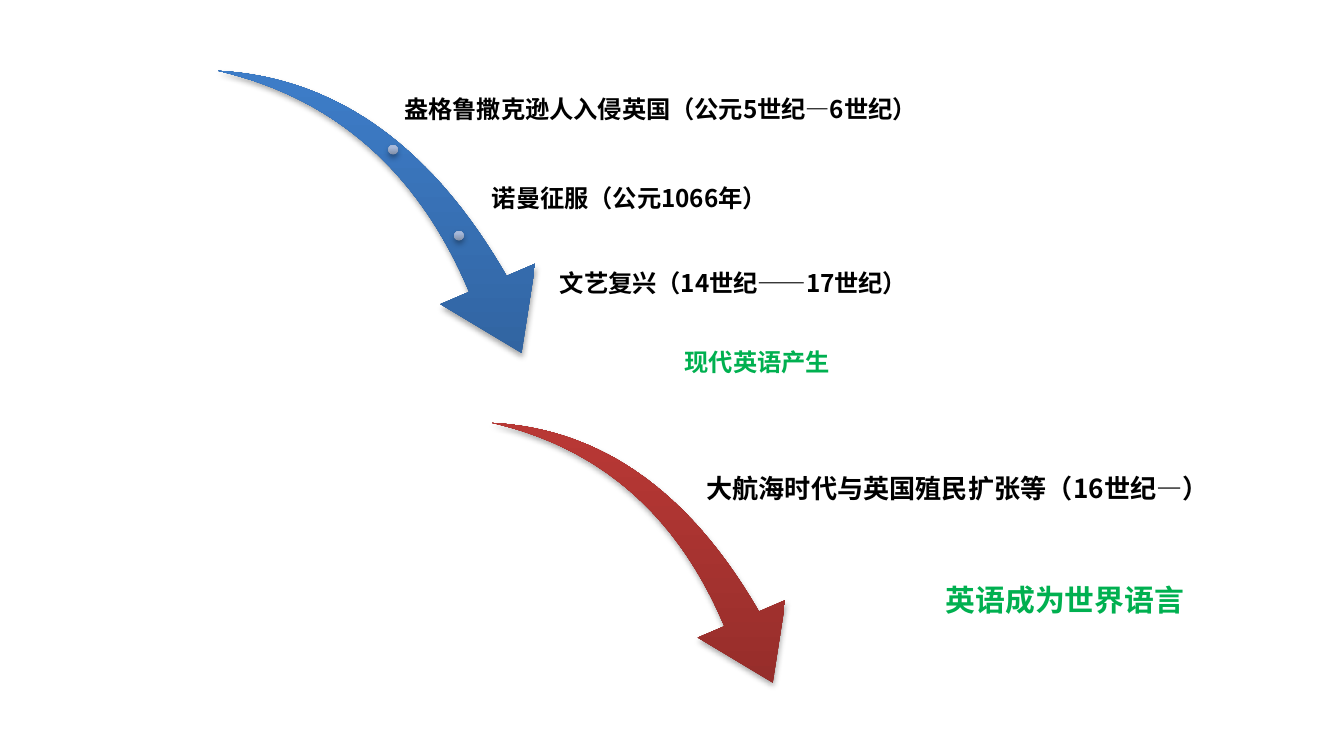
from lxml import etree
from pptx import Presentation
from pptx import util as u
from pptx.dml.color import RGBColor
from pptx.enum import shapes, text
from pptx.oxml import parse_xml
from pptx.oxml.ns import qn

COLORS = {
    "event": "000000",
    "outcome": "00B050",
    "shadow": "000000",
}
GRADIENTS = {
    "blue": ("2F5F99", "3D7CC7", "3A7CCB"),
    "red": ("8E2B28", "B83835", "BB3632"),
    "dot": ("818FA8", "A7B9DA", "A7BADC"),
}
STOPS = (0, 80, 100)
FONT = "Noto Sans CJK SC"
NAMESPACE = 'xmlns:a="http://schemas.openxmlformats.org/drawingml/2006/main"'
ALIGN = text.PP_ALIGN
ANCHOR = text.MSO_ANCHOR


def write_text(frame, words, size=13, color="event", align=ALIGN.CENTER):
    """Put one bold line of text into a text frame."""
    paragraph = frame.paragraphs[0]
    paragraph.alignment = align
    paragraph.line_spacing = 0.9
    paragraph.space_after = u.Pt(0.35 * size)
    run = paragraph.add_run()
    run.text = words
    run.font.size = u.Pt(size)
    run.font.bold = True
    run.font.name = FONT
    run.font.color.rgb = RGBColor.from_string(COLORS[color])
    east_asian = etree.SubElement(run.font._element, qn("a:ea"))
    east_asian.set("typeface", FONT)


class Timeline:
    """Holds the style and the current slide."""

    def __init__(self, slide):
        self.slide = slide

    def add_glossy(self, kind, box, gradient):
        """Add a preset shape with an upward gradient and a soft shadow."""
        shape = self.slide.shapes.add_shape(kind, *map(u.Inches, box))
        shape.line.fill.background()
        stops = "".join(
            f'<a:gs pos="{stop * 1000}"><a:srgbClr val="{color}"/></a:gs>'
            for stop, color in zip(STOPS, GRADIENTS[gradient])
        )
        fill = parse_xml(
            f'<a:gradFill {NAMESPACE} rotWithShape="0"><a:gsLst>{stops}</a:gsLst>'
            '<a:lin ang="16200000" scaled="0"/></a:gradFill>'
        )
        effects = parse_xml(
            f'<a:effectLst {NAMESPACE}><a:outerShdw blurRad="{u.Pt(3.1)}" '
            f'dist="{u.Pt(1.8)}" dir="5400000" rotWithShape="0">'
            f'<a:srgbClr val="{COLORS["shadow"]}"><a:alpha val="35000"/></a:srgbClr>'
            "</a:outerShdw></a:effectLst>"
        )
        properties = shape._element.spPr
        properties.find(qn("a:prstGeom")).addnext(fill)
        properties.find(qn("a:ln")).addnext(effects)
        return shape

    def add_arrow(self, box, gradient):
        arrow = self.add_glossy(shapes.MSO_SHAPE.SWOOSH_ARROW, box, gradient)
        arrow.rotation = 73.3
        arrow.adjustments[0] = 0.163
        arrow.adjustments[1] = 0.314

    def add_dot(self, left, top):
        self.add_glossy(shapes.MSO_SHAPE.OVAL, (left, top, 0.07, 0.07), "dot")

    def add_label(self, box, words, anchor=ANCHOR.TOP, **style):
        frame = self.slide.shapes.add_textbox(*map(u.Inches, box)).text_frame
        frame.word_wrap = True
        frame.vertical_anchor = anchor
        frame.margin_left = frame.margin_right = u.Inches(0.02)
        frame.margin_top = frame.margin_bottom = u.Inches(0.02)
        write_text(frame, words, **style)


def main():
    # Widescreen slide, 16:9
    presentation = Presentation()
    presentation.slide_width = u.Inches(10)
    presentation.slide_height = u.Inches(10 * 9 / 16)
    slide = presentation.slides.add_slide(presentation.slide_layouts[6])
    timeline = Timeline(slide)

    # Road to modern English
    timeline.add_arrow((1.56, 0.61, 2.66, 1.85), "blue")
    timeline.add_dot(2.89, 1.08)
    timeline.add_dot(3.38, 1.72)
    timeline.add_label((2.89, 0.45, 4.05, 0.49),
                       "盎格鲁撒克逊人入侵英国（公元5世纪—6世纪）", ANCHOR.BOTTOM)
    timeline.add_label((3.64, 1.24, 2.36, 0.49), "诺曼征服（公元1066年）",
                       ANCHOR.MIDDLE, align=ALIGN.LEFT)
    timeline.add_label((3.9, 1.87, 2.87, 0.49), "文艺复兴（14世纪——17世纪）",
                       ANCHOR.MIDDLE, align=ALIGN.RIGHT)
    timeline.add_label((4.79, 2.59, 1.69, 0.49), "现代英语产生", color="outcome")

    # Road to a world language
    timeline.add_arrow((3.61, 3.22, 2.45, 1.71), "red")
    timeline.add_label((5.08, 3.36, 4.09, 0.41),
                       "大航海时代与英国殖民扩张等（16世纪—）", ANCHOR.BOTTOM, size=14)
    timeline.add_label((6.91, 4.34, 2.03, 0.45), "英语成为世界语言",
                       size=16, color="outcome")

    presentation.save("out.pptx")


if __name__ == "__main__":
    main()
